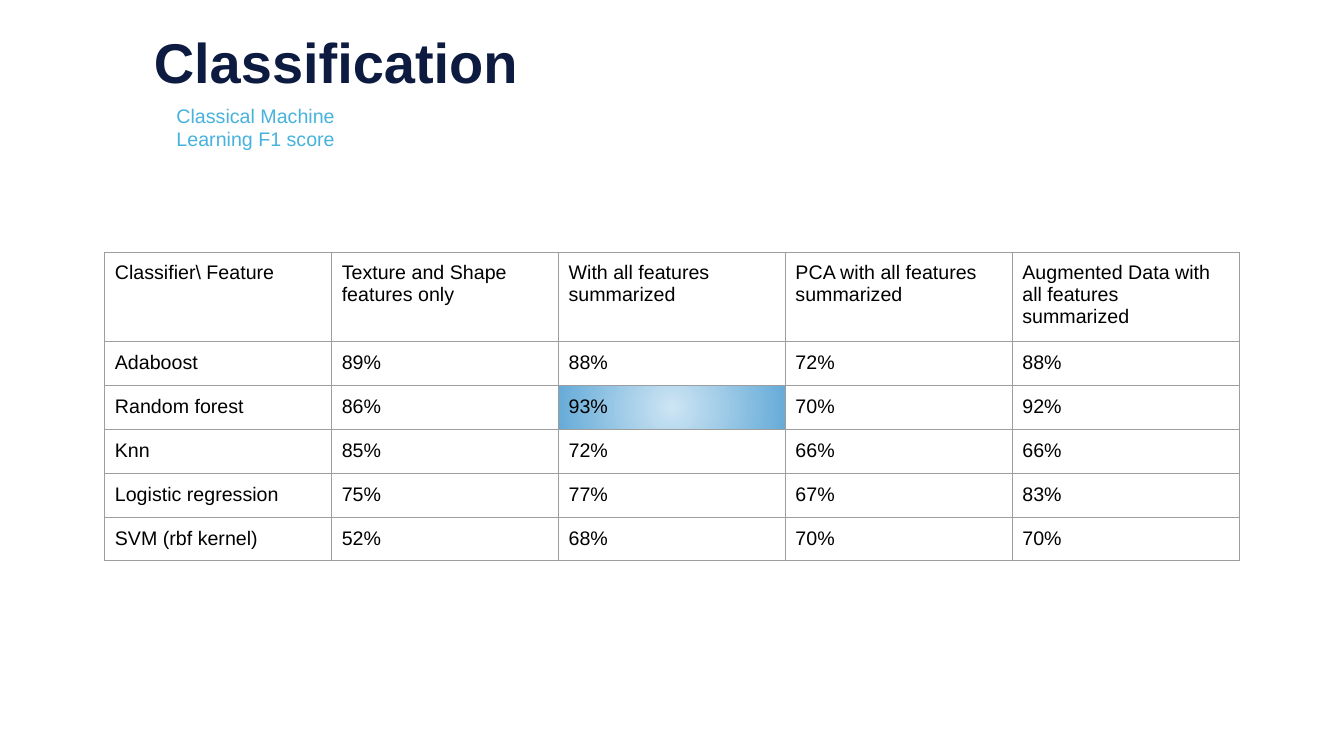
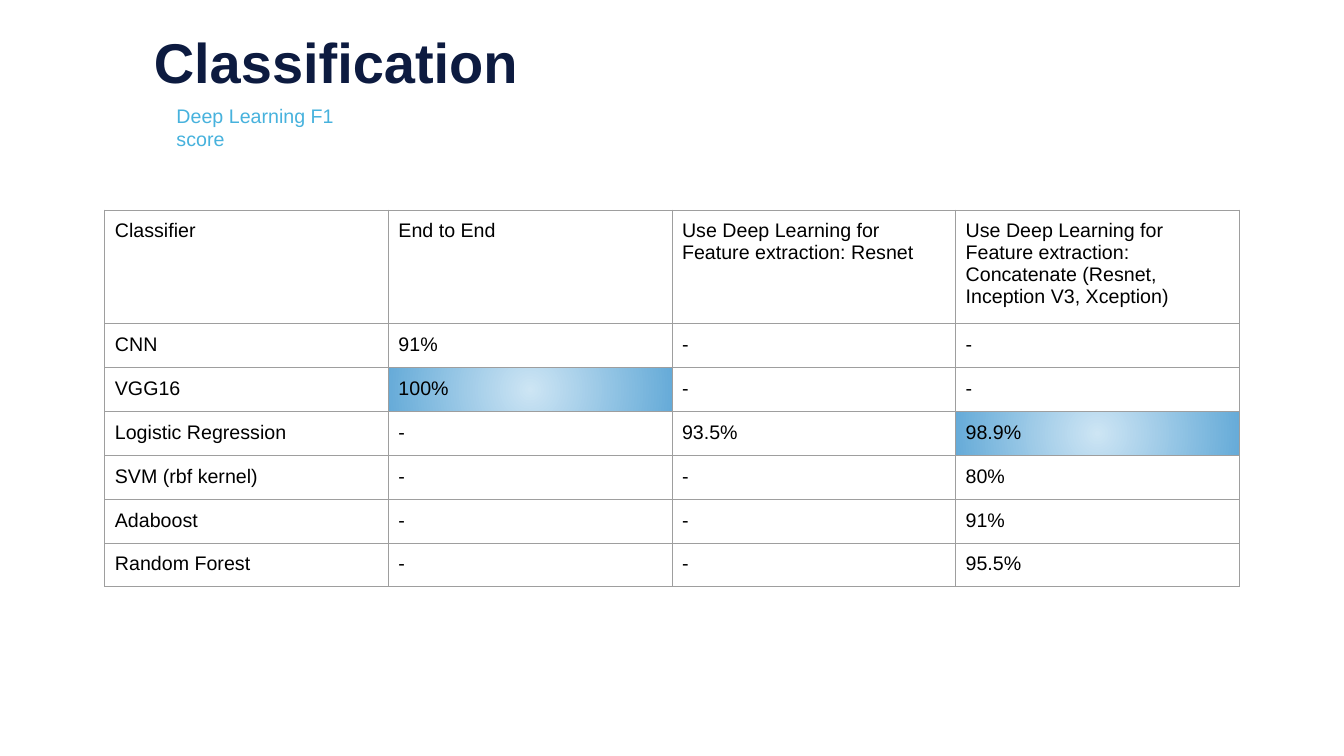
from dataclasses import dataclass

from pptx import Presentation
from pptx.dml.color import RGBColor
from pptx.enum.text import MSO_ANCHOR, MSO_AUTO_SIZE, PP_ALIGN
from pptx.oxml import parse_xml
from pptx.oxml.ns import nsdecls
from pptx.util import Inches, Pt


@dataclass(frozen=True)
class Theme:
    font: str = "Arial"
    title_color: str = "0D1B40"
    subtitle_color: str = "47B2DD"
    text_color: str = "000000"
    border_color: str = "9E9E9E"
    best_center: str = "CDE5F4"
    best_edge: str = "66ABD8"
    title_size: int = 40
    text_size: int = 14
    border_width: float = 0.75


theme = Theme()
WIDTH, HEIGHT = Inches(13.33), Inches(7.5)

# Boxes, as percentages of the slide: left, top, width, height
TITLE_BOX = (8.03, 2.93, 33.9, 10.27)
SUBTITLE_BOX = (12.38, 13.07, 15.3, 7.6)
TABLE_LEFT, TABLE_WIDTH, ROW_HEIGHT = 7.8, 84.4, 5.8
CELL_MARGIN = Inches(0.1)

# Formats of the two placeholders
HEADINGS = {
    "title": dict(
        box=TITLE_BOX,
        frame=dict(vertical_anchor=MSO_ANCHOR.MIDDLE),
        paragraph=dict(alignment=PP_ALIGN.CENTER),
        font=dict(size=Pt(theme.title_size), bold=True),
        color=theme.title_color,
    ),
    "subtitle": dict(
        box=SUBTITLE_BOX,
        frame=dict(vertical_anchor=MSO_ANCHOR.TOP),
        paragraph=dict(alignment=PP_ALIGN.LEFT, space_before=Pt(0)),
        font=dict(size=Pt(theme.text_size), bold=False),
        color=theme.subtitle_color,
    ),
}

# Contents: the best cells are (row, column)
SLIDES = [
    dict(
        title="Classification",
        subtitle="Classical Machine Learning F1 score",
        table_top=33.33,
        header_height=11.9,
        best={(2, 2)},
        rows=[
            ["Classifier\\ Feature", "Texture and Shape features only",
             "With all features summarized", "PCA with all features summarized",
             "Augmented Data with all features summarized"],
            ["Adaboost", "89%", "88%", "72%", "88%"],
            ["Random forest", "86%", "93%", "70%", "92%"],
            ["Knn", "85%", "72%", "66%", "66%"],
            ["Logistic regression", "75%", "77%", "67%", "83%"],
            ["SVM (rbf kernel)", "52%", "68%", "70%", "70%"],
        ],
    ),
    dict(
        title="Classification",
        subtitle="Deep Learning F1 score",
        table_top=27.78,
        header_height=15.07,
        best={(2, 1), (3, 3)},
        rows=[
            ["Classifier", "End to End",
             "Use Deep Learning for Feature extraction: Resnet",
             "Use Deep Learning for Feature extraction: "
             "Concatenate (Resnet, Inception V3, Xception)"],
            ["CNN", "91%", "-", "-"],
            ["VGG16", "100%", "-", "-"],
            ["Logistic Regression", "-", "93.5%", "98.9%"],
            ["SVM (rbf kernel)", "-", "-", "80%"],
            ["Adaboost", "-", "-", "91%"],
            ["Random Forest", "-", "-", "95.5%"],
        ],
    ),
]

BORDER_XML = (
    f'<a:{{side}} {nsdecls("a")} w="{Pt(theme.border_width)}"><a:solidFill>'
    f'<a:srgbClr val="{theme.border_color}"/></a:solidFill></a:{{side}}>'
)
BEST_FILL_XML = (
    f'<a:gradFill {nsdecls("a")}><a:gsLst>'
    f'<a:gs pos="0"><a:srgbClr val="{theme.best_center}"/></a:gs>'
    f'<a:gs pos="100000"><a:srgbClr val="{theme.best_edge}"/></a:gs></a:gsLst>'
    '<a:path path="circle"><a:fillToRect l="50000" t="50000" r="50000" b="50000"/>'
    '</a:path></a:gradFill>'
)


def apply_format(target, values):
    for name, value in values.items():
        setattr(target, name, value)


def from_shares(left, top, width, height):
    return dict(
        left=round(WIDTH * left / 100), top=round(HEIGHT * top / 100),
        width=round(WIDTH * width / 100), height=round(HEIGHT * height / 100),
    )


presentation = Presentation()
apply_format(presentation, dict(slide_width=WIDTH, slide_height=HEIGHT))
layout = presentation.slide_layouts.get_by_name("Title and Content")

for content in SLIDES:
    slide = presentation.slides.add_slide(layout)

    # Title and subtitle
    for shape, (part, style) in zip(slide.placeholders, HEADINGS.items()):
        apply_format(shape, from_shares(*style["box"]))
        frame = shape.text_frame
        frame.text = content[part]
        apply_format(frame, dict(word_wrap=True, auto_size=MSO_AUTO_SIZE.NONE))
        apply_format(frame, style["frame"])
        paragraph = frame.paragraphs[0]
        apply_format(paragraph, style["paragraph"])
        apply_format(paragraph.font, dict(name=theme.font, **style["font"]))
        paragraph.font.color.rgb = RGBColor.from_string(style["color"])

    # The subtitle is plain text, without bullet or indent
    properties = paragraph._p.get_or_add_pPr()
    apply_format(properties, dict(marL=0, indent=0))
    properties.set("marL", "0")
    properties.set("indent", "0")
    properties.insert_element_before(
        parse_xml(f'<a:buNone {nsdecls("a")}/>'), "a:tabLst", "a:defRPr", "a:extLst")

    # Score table: equal columns, a taller header row
    rows = content["rows"]
    heights = [content["header_height"]] + [ROW_HEIGHT] * (len(rows) - 1)
    table_box = from_shares(
        TABLE_LEFT, content["table_top"], TABLE_WIDTH, sum(heights))
    table = slide.shapes.add_table(len(rows), len(rows[0]), **table_box).table
    apply_format(table, dict(first_row=False, horz_banding=False))

    for row_index, (texts, height) in enumerate(zip(rows, heights)):
        table.rows[row_index].height = round(HEIGHT * height / 100)
        for column_index, text in enumerate(texts):
            cell = table.cell(row_index, column_index)
            cell.text = text
            apply_format(cell, dict.fromkeys(
                ("margin_left", "margin_top", "margin_right", "margin_bottom"),
                CELL_MARGIN))
            font = cell.text_frame.paragraphs[0].runs[0].font
            apply_format(font, dict(name=theme.font, size=Pt(theme.text_size)))
            font.color.rgb = RGBColor.from_string(theme.text_color)

            # Borders come before the fill
            cell_properties = cell._tc.get_or_add_tcPr()
            for side in ("lnL", "lnR", "lnT", "lnB"):
                cell_properties.append(parse_xml(BORDER_XML.format(side=side)))
            if (row_index, column_index) in content["best"]:
                cell_properties.append(parse_xml(BEST_FILL_XML))
            else:
                cell.fill.background()

presentation.save("out.pptx")
